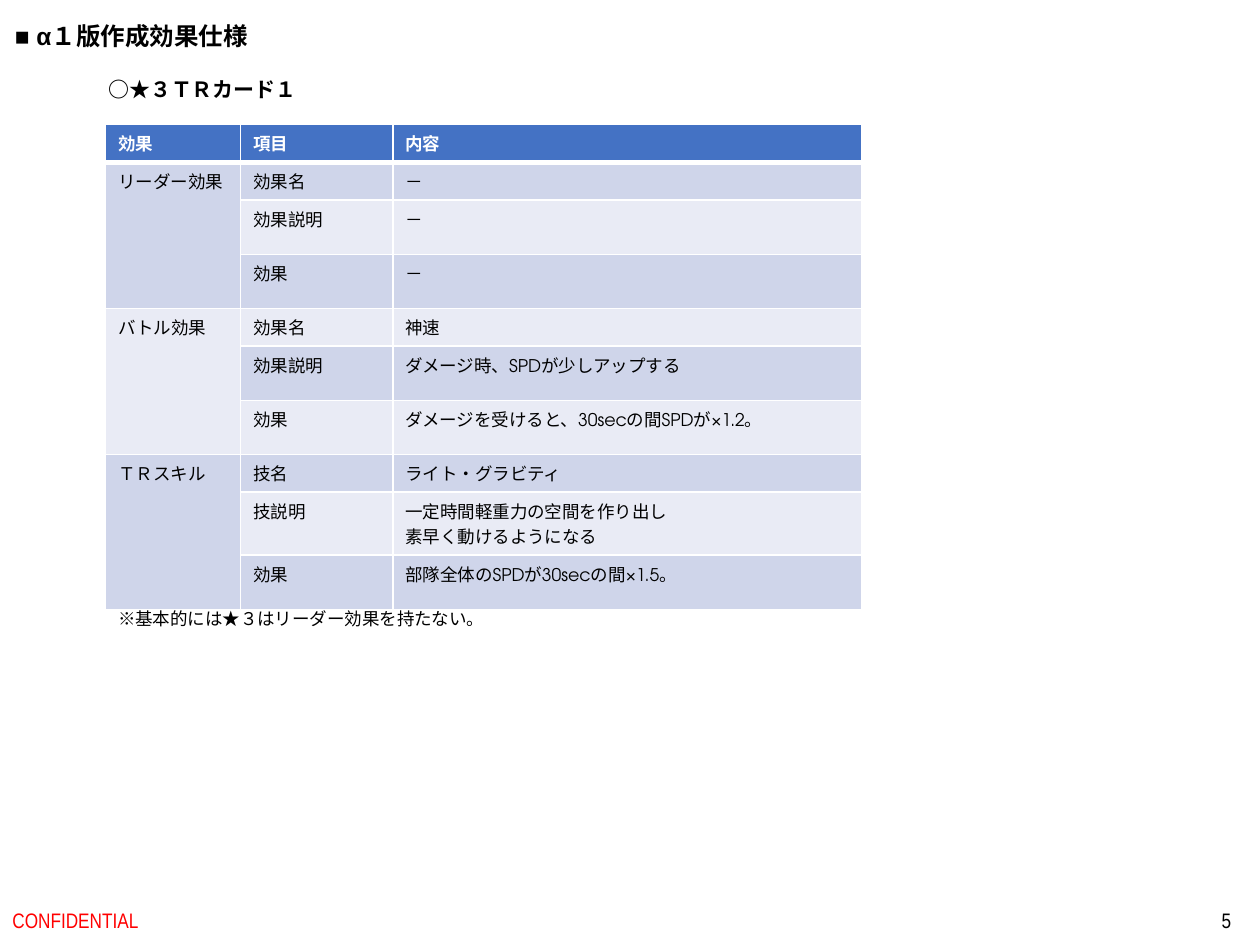
from lxml import etree
from pptx import Presentation
from pptx.dml.color import RGBColor
from pptx.enum.text import MSO_ANCHOR, MSO_AUTO_SIZE, PP_ALIGN
from pptx.oxml.ns import qn
from pptx.util import Cm, Pt

MIDDLE, TOP = MSO_ANCHOR.MIDDLE, MSO_ANCHOR.TOP
LEFT, RIGHT = PP_ALIGN.LEFT, PP_ALIGN.RIGHT
FIT, FIXED = MSO_AUTO_SIZE.SHAPE_TO_FIT_TEXT, MSO_AUTO_SIZE.NONE

BODY_FONT = "TeX Gyre Adventor"
FOOTER_FONT = "Arial Narrow"
BLACK, WHITE, RED = "000000", "FFFFFF", "FF0000"
HEADER_FILL = "4472C4"
BAND_FILLS = ("CFD5EA", "E9EBF5")

HEADERS = ("効果", "項目", "内容")
GROUPS = [
    ("リーダー効果", [("効果名", "－"), ("効果説明", "－"), ("効果", "－")]),
    ("バトル効果", [
        ("効果名", "神速"),
        ("効果説明", "ダメージ時、SPDが少しアップする"),
        ("効果", "ダメージを受けると、30secの間SPDが×1.2。"),
    ]),
    ("ＴＲスキル", [
        ("技名", "ライト・グラビティ"),
        ("技説明", "一定時間軽重力の空間を作り出し\n素早く動けるようになる"),
        ("効果", "部隊全体のSPDが30secの間×1.5。"),
    ]),
]
TABLE_LEFT, TABLE_TOP = 2.13, 2.51
COLUMN_WIDTHS = (2.72, 3.07, 9.45)
HEADER_HEIGHT, NAME_HEIGHT, DETAIL_HEIGHT, TWO_LINE_HEIGHT = 0.74, 0.76, 1.09, 1.27

TITLE_FORMAT = {"name": "Arial", "size": Pt(14), "bold": True}
SUBTITLE_FORMAT = {"name": BODY_FONT, "size": Pt(12), "bold": True}
HEADER_FORMAT = {"name": BODY_FONT, "size": Pt(10), "bold": True}
BODY_FORMAT = {"name": BODY_FONT, "size": Pt(10), "bold": False}
FOOTER_FORMAT = {"name": FOOTER_FONT, "size": Pt(12), "bold": False}

LABEL_FRAME = {"word_wrap": False, "auto_size": FIT, "vertical_anchor": TOP}
FOOTER_FRAME = {"word_wrap": True, "auto_size": FIXED, "vertical_anchor": MIDDLE}

TEXT_BOXES = [
    ("■ α１版作成効果仕様", (0.05, 0.3, 5.51, 0.86), TITLE_FORMAT, BLACK, LABEL_FRAME, LEFT),
    ("CONFIDENTIAL", (0, 18.03, 8.59, 1.02), FOOTER_FORMAT, RED, FOOTER_FRAME, LEFT),
    ("5", (19.35, 18.03, 5.72, 1.02), FOOTER_FORMAT, BLACK, FOOTER_FRAME, RIGHT),
    ("○★３ＴＲカード１", (1.93, 1.42, 4.37, 0.76), SUBTITLE_FORMAT, BLACK, LABEL_FRAME, LEFT),
    ("※基本的には★３はリーダー効果を持たない。", (2.13, 12.14, 8, 0.69), BODY_FORMAT, BLACK, LABEL_FRAME, LEFT),
]


def color(value):
    return RGBColor.from_string(value)


def set_attributes(target, values):
    for name, value in values.items():
        setattr(target, name, value)


def write_text(frame, text, font_format, font_color, alignment=LEFT):
    frame.text = text
    for paragraph in frame.paragraphs:
        paragraph.alignment = alignment
        for run in paragraph.runs:
            set_attributes(run.font, font_format)
            run.font.color.rgb = color(font_color)


def add_borders(cell, row):
    widths = {"lnL": 1, "lnR": 1, "lnT": 3 if row == 1 else 1, "lnB": 3 if row == 0 else 1}
    properties = cell._tc.get_or_add_tcPr()
    for position, (tag, width) in enumerate(widths.items()):
        line = etree.Element(qn(f"a:{tag}"), w=str(Pt(width)))
        fill = etree.SubElement(line, qn("a:solidFill"))
        etree.SubElement(fill, qn("a:srgbClr"), val=WHITE)
        properties.insert(position, line)


def row_height(item, content):
    if "\n" in content:
        return TWO_LINE_HEIGHT
    return NAME_HEIGHT if item.endswith("名") else DETAIL_HEIGHT


def add_effect_table(slide):
    rows = [HEADERS]
    heights = [HEADER_HEIGHT]
    for effect, details in GROUPS:
        for index, (item, content) in enumerate(details):
            rows.append((effect if index == 0 else "", item, content))
            heights.append(row_height(item, content))

    table = slide.shapes.add_table(
        len(rows), len(HEADERS), Cm(TABLE_LEFT), Cm(TABLE_TOP),
        Cm(sum(COLUMN_WIDTHS)), Cm(sum(heights)),
    ).table
    for column, width in zip(table.columns, COLUMN_WIDTHS):
        column.width = Cm(width)
    for row_index, (values, height) in enumerate(zip(rows, heights)):
        table.rows[row_index].height = Cm(height)
        is_header = row_index == 0
        fill = HEADER_FILL if is_header else BAND_FILLS[(row_index - 1) % 2]
        font_format = HEADER_FORMAT if is_header else BODY_FORMAT
        for column_index, text in enumerate(values):
            cell = table.cell(row_index, column_index)
            cell.fill.solid()
            cell.fill.fore_color.rgb = color(fill)
            add_borders(cell, row_index)
            write_text(cell.text_frame, text, font_format, WHITE if is_header else BLACK)

    first_row = 1
    for _, details in GROUPS:
        last_row = first_row + len(details) - 1
        table.cell(first_row, 0).merge(table.cell(last_row, 0))
        first_row = last_row + 1


def main():
    presentation = Presentation()
    presentation.slide_width, presentation.slide_height = Cm(25.4), Cm(19.05)
    slide = presentation.slides.add_slide(presentation.slide_layouts[6])
    add_effect_table(slide)
    for text, bounds, font_format, font_color, frame_format, alignment in TEXT_BOXES:
        frame = slide.shapes.add_textbox(*map(Cm, bounds)).text_frame
        set_attributes(frame, frame_format)
        write_text(frame, text, font_format, font_color, alignment)
    presentation.save("out.pptx")


if __name__ == "__main__":
    main()
